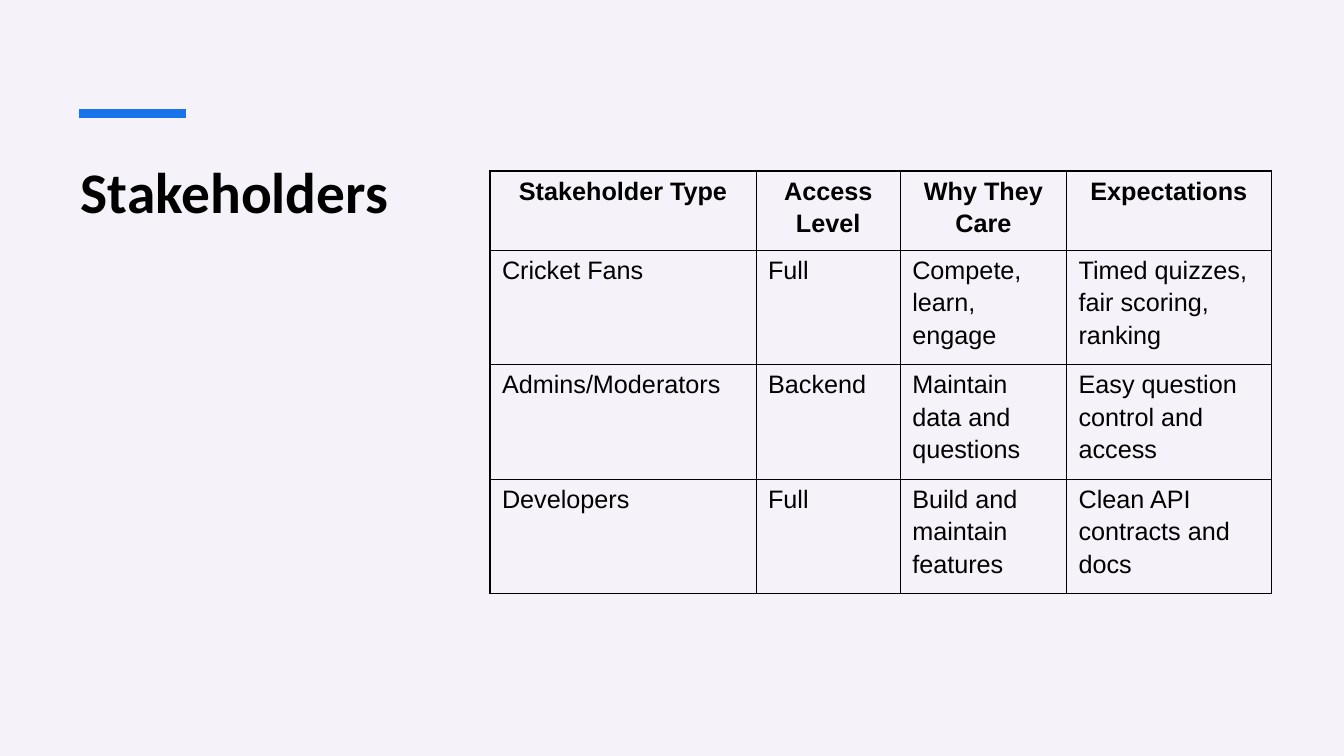
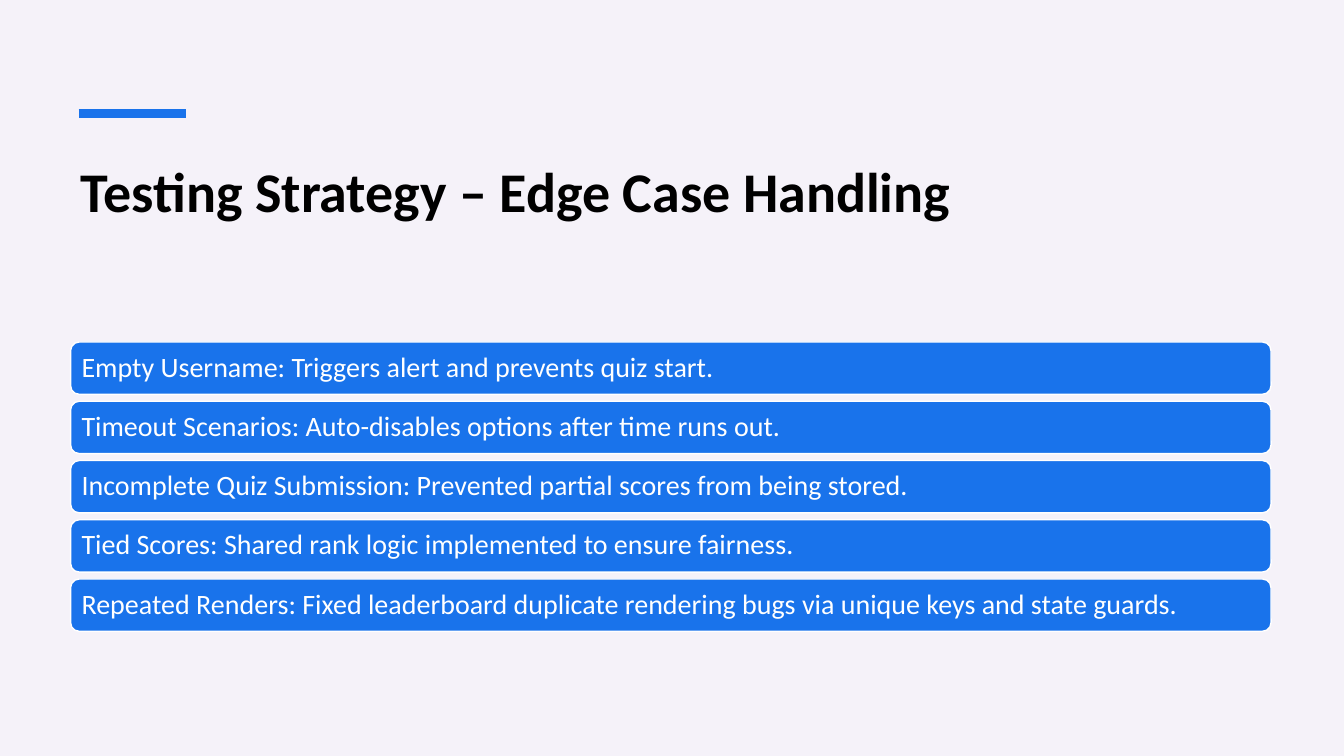
from dataclasses import dataclass

from lxml.etree import SubElement as add_child
from pptx import Presentation
from pptx.dml.color import RGBColor as Color
from pptx.enum.shapes import MSO_CONNECTOR as Connector, MSO_SHAPE as Preset
from pptx.enum.text import MSO_ANCHOR as Anchor, MSO_AUTO_SIZE as AutoSize, PP_ALIGN as Align
from pptx.oxml.ns import qn
from pptx.util import Pt


@dataclass(frozen=True)
class Theme:
    canvas: Color = Color.from_string("F5F2F9")
    accent: Color = Color.from_string("1973EB")
    ink: Color = Color.from_string("000000")
    light: Color = Color.from_string("FFFFFF")
    text_font: str = "Calibri"
    table_font: str = "Arial"
    narrow_title: float = 41
    wide_title: float = 40
    bar_size: float = 20
    table_size: float = 18


@dataclass(frozen=True)
class Box:
    left: float
    top: float
    width: float
    height: float

    def lengths(self):
        return Pt(self.left), Pt(self.top), Pt(self.width), Pt(self.height)


THEME = Theme()
TITLE_ONLY = 5

STAKEHOLDERS = [
    ["Stakeholder Type", "Access Level", "Why They Care", "Expectations"],
    ["Cricket Fans", "Full", "Compete, learn, engage", "Timed quizzes, fair scoring, ranking"],
    ["Admins/Moderators", "Backend", "Maintain data and questions", "Easy question control and access"],
    ["Developers", "Full", "Build and maintain features", "Clean API contracts and docs"],
]
COLUMN_WIDTHS = [190.1, 103, 118.8, 146.1]
ROW_HEIGHTS = [56.7, 81.7, 81.7, 81.7]

EDGE_CASES = [
    "Empty Username: Triggers alert and prevents quiz start.",
    "Timeout Scenarios: Auto-disables options after time runs out.",
    "Incomplete Quiz Submission: Prevented partial scores from being stored.",
    "Tied Scores: Shared rank logic implemented to ensure fairness.",
    "Repeated Renders: Fixed leaderboard duplicate rendering bugs via unique keys and state guards.",
]


def add_span(para, text, font, size, color, bold=False):
    span = para.add_run()
    span.text = text
    span.font.name = font
    span.font.size = Pt(size)
    span.font.color.rgb = color
    span.font.bold = bold


def set_insets(target, side, top, bottom):
    target.margin_left = target.margin_right = Pt(side)
    target.margin_top = Pt(top)
    target.margin_bottom = Pt(bottom)


def add_accent_line(page, left, top, width):
    line = page.shapes.add_connector(
        Connector.STRAIGHT, Pt(left), Pt(top), Pt(left + width), Pt(top))
    line.line.color.rgb = THEME.accent
    line.line.width = Pt(6)
    add_child(line._element.spPr, qn("a:effectLst"))


def add_page(deck, title, box, size):
    page = deck.slides.add_slide(deck.slide_layouts[TITLE_ONLY])
    add_accent_line(page, box.left + 5.8, box.top - 26.8, 77)
    heading = page.shapes.title
    heading.left, heading.top, heading.width, heading.height = box.lengths()
    frame = heading.text_frame
    frame.word_wrap = True
    frame.auto_size = AutoSize.NONE
    frame.vertical_anchor = Anchor.TOP
    set_insets(frame, 7.2, 3.6, 3.6)
    para = frame.paragraphs[0]
    para.alignment = Align.LEFT
    add_span(para, title, THEME.text_font, size, THEME.ink, True)
    return page


def add_borders(cell):
    properties = cell._tc.get_or_add_tcPr()
    for place, side in enumerate(("lnL", "lnR", "lnT", "lnB")):
        edge = add_child(properties, qn(f"a:{side}"), w=str(Pt(1)))
        paint = add_child(edge, qn("a:solidFill"))
        add_child(paint, qn("a:srgbClr"), val=str(THEME.ink))
        properties.insert(place, edge)


def add_grid(page, box, rows, widths, heights):
    table = page.shapes.add_table(len(rows), len(widths), *box.lengths()).table
    table.horz_banding = False
    table.first_row = False
    for column, width in zip(table.columns, widths):
        column.width = Pt(width)
    for number, (row, height, texts) in enumerate(zip(table.rows, heights, rows)):
        row.height = Pt(height)
        header = number == 0
        for cell, text in zip(row.cells, texts):
            cell.fill.background()
            add_borders(cell)
            set_insets(cell, 8.6, 1.4, 0)
            para = cell.text_frame.paragraphs[0]
            para.alignment = Align.CENTER if header else Align.LEFT
            para.line_spacing = 1.15
            add_span(para, text, THEME.table_font, THEME.table_size, THEME.ink, header)


def add_bars(page, box, texts, gap):
    height = (box.height - gap * (len(texts) - 1)) / len(texts)
    for number, text in enumerate(texts):
        place = Box(box.left, box.top + number * (height + gap), box.width, height)
        bar = page.shapes.add_shape(Preset.ROUNDED_RECTANGLE, *place.lengths())
        bar.shadow.inherit = False
        bar.fill.solid()
        bar.fill.fore_color.rgb = THEME.accent
        bar.line.color.rgb = THEME.light
        bar.line.width = Pt(1)
        frame = bar.text_frame
        frame.word_wrap = True
        frame.vertical_anchor = Anchor.MIDDLE
        set_insets(frame, 6, 5.8, 5.8)
        para = frame.paragraphs[0]
        para.alignment = Align.LEFT
        para.line_spacing = 0.9
        add_span(para, text, THEME.text_font, THEME.bar_size, THEME.light)


def build_stakeholders(deck):
    page = add_page(deck, "Stakeholders", Box(50.4, 108, 255.6, 212.4), THEME.narrow_title)
    box = Box(350, 122.2, sum(COLUMN_WIDTHS), sum(ROW_HEIGHTS))
    add_grid(page, box, STAKEHOLDERS, COLUMN_WIDTHS, ROW_HEIGHTS)


def build_edge_cases(deck):
    page = add_page(deck, "Testing Strategy – Edge Case Handling",
                    Box(50.4, 108, 857.5, 86.4), THEME.wide_title)
    add_bars(page, Box(50.4, 244.3, 857.5, 206.7), EDGE_CASES, 4.9)


def main():
    deck = Presentation()
    deck.slide_width, deck.slide_height = Pt(960), Pt(540)
    backdrop = deck.slide_master.background.fill
    backdrop.solid()
    backdrop.fore_color.rgb = THEME.canvas
    build_stakeholders(deck)
    build_edge_cases(deck)
    deck.save("out.pptx")


if __name__ == "__main__":
    main()
